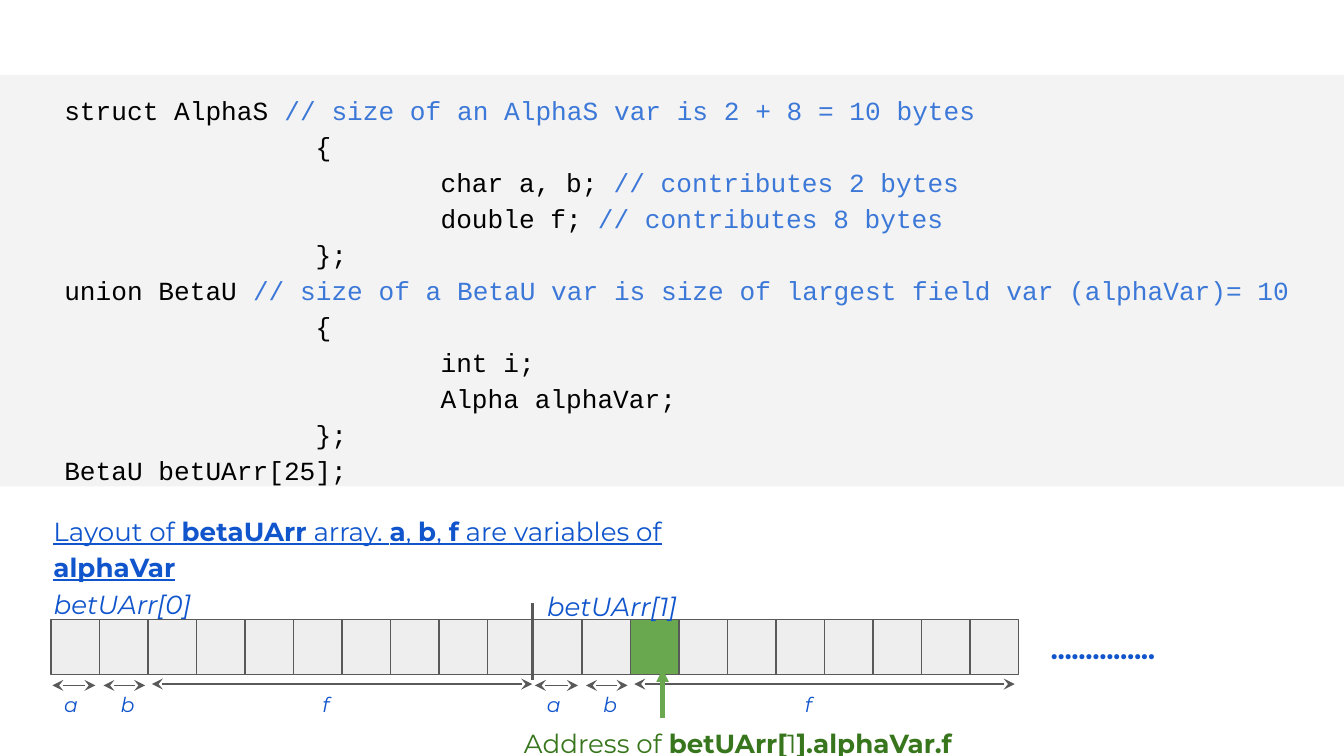
from lxml.etree import SubElement
from pptx import Presentation
from pptx.dml.color import RGBColor
from pptx.enum.shapes import MSO_CONNECTOR as CONN, MSO_SHAPE as SHAPE
from pptx.enum.text import MSO_ANCHOR as ANCHOR
from pptx.oxml.ns import qn
from pptx.util import Inches, Pt

BLACK = RGBColor(0x00, 0x00, 0x00)
PANEL = RGBColor(0xF3, 0xF3, 0xF3)
CELL = RGBColor(0xEE, 0xEE, 0xEE)
GREY = RGBColor(0x59, 0x59, 0x59)
BLUE = RGBColor(0x11, 0x55, 0xCC)
COMMENT = RGBColor(0x3C, 0x78, 0xD8)
GREEN = RGBColor(0x6A, 0xA8, 0x4F)
DARK_GREEN = RGBColor(0x38, 0x76, 0x1D)

INDENT = 1.87
FIELD_INDENT = 2.8
CODE = [
    (0, "struct AlphaS ", "// size of an AlphaS var is 2 + 8 = 10 bytes"),
    (INDENT, "{", ""),
    (FIELD_INDENT, "char a, b; ", "// contributes 2 bytes"),
    (FIELD_INDENT, "double f; ", "// contributes 8 bytes"),
    (INDENT, "};", ""),
    (0, "union BetaU ", "// size of a BetaU var is size of largest field var (alphaVar)= 10"),
    (INDENT, "{", ""),
    (FIELD_INDENT, "int i;", ""),
    (FIELD_INDENT, "Alpha alphaVar;", ""),
    (INDENT, "};", ""),
    (0, "BetaU betUArr[25];", ""),
]
FIELDS = [
    ("a", 0, 0.01, 0.33, 5.1),
    ("b", 0.42, 0.39, 0.7, 5.1),
    ("f", 1.92, 0.75, 3.58, 5.09),
]
CELL_COUNT = 10
CELL_PITCH = 3.25 / 9


class MemorySlide:
    """Draws code, memory cells, arrows and labels in one style on a slide."""

    def __init__(self, prs):
        self.s = prs.slides.add_slide(prs.slide_layouts[6])

    def rect(self, x, y, w, h, fill, line=None):
        sp = self.s.shapes.add_shape(SHAPE.RECTANGLE, Inches(x), Inches(y), Inches(w), Inches(h))
        sp.shadow.inherit = False
        sp.fill.solid()
        sp.fill.fore_color.rgb = fill
        if line is None:
            sp.line.fill.background()
        else:
            sp.line.color.rgb = line
            sp.line.width = Pt(0.75)

    def line(self, start, end, color=GREY, width=0.75, head=None, tail=None):
        points = [Inches(v) for v in (*start, *end)]
        sp = self.s.shapes.add_connector(CONN.STRAIGHT, *points)
        sp.line.color.rgb = color
        sp.line.width = Pt(width)
        ln = sp.line._get_or_add_ln()
        for tag, kind in (("a:headEnd", head), ("a:tailEnd", tail)):
            if kind:
                SubElement(ln, qn(tag), type=kind)
        SubElement(sp._element.spPr, qn("a:effectLst"))

    def frame(self, x, y, w, h, bottom=0.1):
        tf = self.s.shapes.add_textbox(Inches(x), Inches(y), Inches(w), Inches(h)).text_frame
        tf.word_wrap = True
        tf.vertical_anchor = ANCHOR.MIDDLE
        tf.margin_left = tf.margin_right = tf.margin_top = Inches(0.1)
        tf.margin_bottom = Inches(bottom)
        tf.paragraphs[0].line_spacing = 1.15
        return tf

    def run(self, p, text, color, size=14, font="Montserrat", **style):
        r = p.add_run()
        r.text = text
        r.font.name = font
        r.font.size = Pt(size)
        r.font.color.rgb = color
        for name, value in style.items():
            setattr(r.font, name, value)

    def label(self, x, y, w, h, parts, color=BLUE, size=14, **style):
        p = self.frame(x, y, w, h).paragraphs[0]
        for i, text in enumerate(parts):
            self.run(p, text, color, size, **{"bold": i % 2 == 1, **style})

    def code(self, x, y, w, h, lines):
        tf = self.frame(x, y, w, h, bottom=1.44)
        for i, (indent, statement, comment) in enumerate(lines):
            p = tf.add_paragraph() if i else tf.paragraphs[0]
            p.line_spacing = 1.15
            p._p.get_or_add_pPr().set("marL", str(Inches(indent)))
            self.run(p, statement, BLACK, font="Courier New")
            if comment:
                self.run(p, comment, COMMENT, font="Courier New")

    def element(self, x, marked=None):
        for i in range(CELL_COUNT):
            fill = GREEN if i == marked else CELL
            self.rect(x + i * CELL_PITCH, 4.61, 0.36, 0.41, fill, GREY)
        for name, left, start, end, y in FIELDS:
            self.line((x + start, y), (x + end, y), head="stealth", tail="stealth")
            self.label(x + left, 5.02, 0.36, 0.41, [name], size=11, italic=True)


def main():
    prs = Presentation()
    prs.slide_width = Inches(10)
    prs.slide_height = prs.slide_width * 9 // 16
    slide = MemorySlide(prs)
    slide.rect(0, 0.56, 10, 3.06, PANEL)
    slide.code(0.38, 0, 9.62, 5.62, CODE)
    slide.element(0.38)
    slide.element(3.97, marked=2)
    slide.label(0.3, 4.27, 1.45, 0.41, ["betUArr[0]"], italic=True)
    slide.label(3.97, 4.29, 1.45, 0.41, ["betUArr[1]"], italic=True)
    slide.label(7.72, 4.61, 1.45, 0.41, ["…………..."], bold=True)
    title = ["Layout of ", "betaUArr", " array. ", "a", ", ", "b", ", ", "f",
             " are variables of ", "alphaVar"]
    slide.label(0.3, 3.86, 5.64, 0.41, title, underline=True)
    address = ["Address of ", "betUArr[", "1", "].alphaVar.f"]
    slide.label(3.8, 5.29, 4, 0.45, address, DARK_GREEN)
    slide.line((4.93, 5.34), (4.93, 4.98), GREEN, 2.25, tail="triangle")
    slide.line((3.96, 4.49), (3.96, 5.06), width=1.5)
    prs.save("out.pptx")


if __name__ == "__main__":
    main()
